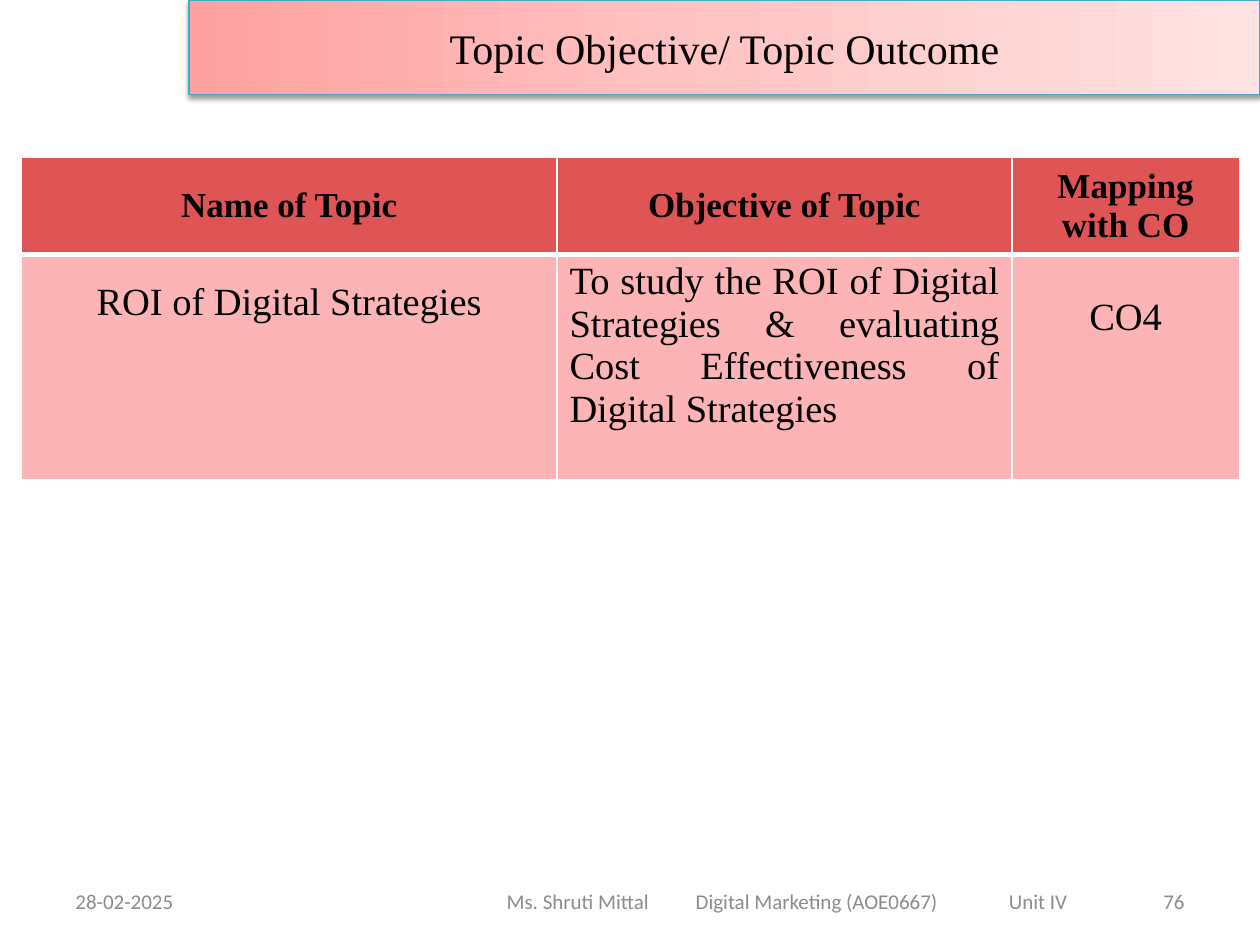
"""Build a topic objective slide with a banner title, a mapping table and a footer."""
from lxml import etree
from pptx import Presentation
from pptx.dml.color import RGBColor
from pptx.enum.text import MSO_ANCHOR, PP_ALIGN
from pptx.oxml import parse_xml
from pptx.oxml.ns import nsdecls, qn
from pptx.util import Pt

LEFT, CENTER, RIGHT, JUSTIFY = PP_ALIGN.LEFT, PP_ALIGN.CENTER, PP_ALIGN.RIGHT, PP_ALIGN.JUSTIFY
TOP, MIDDLE = MSO_ANCHOR.TOP, MSO_ANCHOR.MIDDLE
BLACK = RGBColor(0x00, 0x00, 0x00)
WHITE = RGBColor(0xFF, 0xFF, 0xFF)
GRAY = RGBColor(0x8C, 0x8C, 0x8C)
TEAL = RGBColor(0x46, 0xAA, 0xC5)
RED = RGBColor(0xDF, 0x55, 0x56)
PINK = RGBColor(0xFC, 0xB4, 0xB6)
BANNER_STOPS = [
    (0, RGBColor(0xFF, 0xA0, 0xA0)),
    (50, RGBColor(0xFF, 0xC5, 0xC5)),
    (100, RGBColor(0xFF, 0xE3, 0xE3)),
]
SERIF, SANS = "Times New Roman", "Calibri"


def add_text(paragraph, text, size, font_name, color, alignment, bold=False):
    paragraph.alignment = alignment
    run = paragraph.add_run()
    run.text = text
    run.font.size = Pt(size)
    run.font.name = font_name
    run.font.color.rgb = color
    run.font.bold = bold


def set_borders(cell, bottom_width):
    properties = cell._tc.get_or_add_tcPr()
    sides = [("lnL", 1), ("lnR", 1), ("lnT", 1), ("lnB", bottom_width)]
    for index, (side, width) in enumerate(sides):
        properties.insert(index, parse_xml(
            f'<a:{side} {nsdecls("a")} w="{Pt(width)}"><a:solidFill>'
            f'<a:srgbClr val="{WHITE}"/></a:solidFill></a:{side}>'))


presentation = Presentation()
presentation.slide_width, presentation.slide_height = Pt(720), Pt(540)
slide = presentation.slides.add_slide(presentation.slide_layouts[5])

footers = [
    (36, 168, 7.2, "28-02-2025", LEFT, []),
    (246, 408, 43.5, "Ms. Shruti Mittal\tDigital Marketing (AOE0667)\tUnit IV", LEFT, [108, 287]),
    (516, 168, 7.2, "76", RIGHT, []),
]
for left, width, margin, text, alignment, tab_stops in footers:
    box = slide.shapes.add_textbox(Pt(left), Pt(500.5), Pt(width), Pt(28.75))
    frame = box.text_frame
    frame.word_wrap = True
    frame.vertical_anchor = MIDDLE
    frame.margin_left = Pt(margin)
    paragraph = frame.paragraphs[0]
    if tab_stops:
        tab_list = etree.SubElement(paragraph._p.get_or_add_pPr(), qn("a:tabLst"))
        for position in tab_stops:
            etree.SubElement(tab_list, qn("a:tab"), pos=str(Pt(position)), algn="l")
    add_text(paragraph, text, 12, SANS, GRAY, alignment)

title = slide.shapes.title
title.left, title.top, title.width, title.height = Pt(108), Pt(0), Pt(612), Pt(54)
stops = "".join(
    f'<a:gs pos="{position * 1000}"><a:srgbClr val="{color}"/></a:gs>'
    for position, color in BANNER_STOPS)
title_properties = title._element.spPr
title_properties.append(parse_xml(
    f'<a:gradFill {nsdecls("a")} rotWithShape="1"><a:gsLst>{stops}</a:gsLst>'
    '<a:lin ang="0" scaled="0"/></a:gradFill>'))
title.line.color.rgb = TEAL
title.line.width = Pt(0.75)
title_properties.append(parse_xml(
    f'<a:effectLst {nsdecls("a")}><a:outerShdw blurRad="{Pt(3.1)}" dist="{Pt(1.6)}" '
    f'dir="5400000" rotWithShape="0"><a:srgbClr val="{BLACK}"><a:alpha val="38000"/>'
    '</a:srgbClr></a:outerShdw></a:effectLst>'))
title.text_frame.vertical_anchor = MIDDLE
add_text(title.text_frame.paragraphs[0], "Topic Objective/ Topic Outcome", 24, SERIF, BLACK, CENTER)

column_widths = [306, 260, 130]
row_heights = [51, 129]
table = slide.shapes.add_table(
    2, 3, Pt(12.25), Pt(90), Pt(sum(column_widths)), Pt(sum(row_heights))).table
for column, width in zip(table.columns, column_widths):
    column.width = Pt(width)
for row, height in zip(table.rows, row_heights):
    row.height = Pt(height)

headings = ["Name of Topic", "Objective of Topic", "Mapping with CO"]
topic = [
    ("ROI of Digital Strategies", CENTER, 9.4, 3.6, 1.5),
    ("To study the ROI of Digital Strategies & evaluating Cost Effectiveness of Digital Strategies",
     JUSTIFY, 7.2, 3.6, 1),
    ("CO4", CENTER, 9.4, 24.2, 1),
]
rows = [
    ([(heading, CENTER, 9.4, 3.6, 1) for heading in headings], RED, 20, True, MIDDLE, 3),
    (topic, PINK, 22, False, TOP, 1),
]
for row, (contents, fill, size, bold, anchor, bottom_width) in zip(table.rows, rows):
    for cell, (text, alignment, side_margin, top_margin, spacing) in zip(row.cells, contents):
        cell.fill.solid()
        cell.fill.fore_color.rgb = fill
        set_borders(cell, bottom_width)
        cell.vertical_anchor = anchor
        cell.margin_left = cell.margin_right = Pt(side_margin)
        cell.margin_top, cell.margin_bottom = Pt(top_margin), Pt(3.6)
        paragraph = cell.text_frame.paragraphs[0]
        paragraph.line_spacing = float(spacing)
        add_text(paragraph, text, size, SERIF, BLACK, alignment, bold)

presentation.save("out.pptx")
